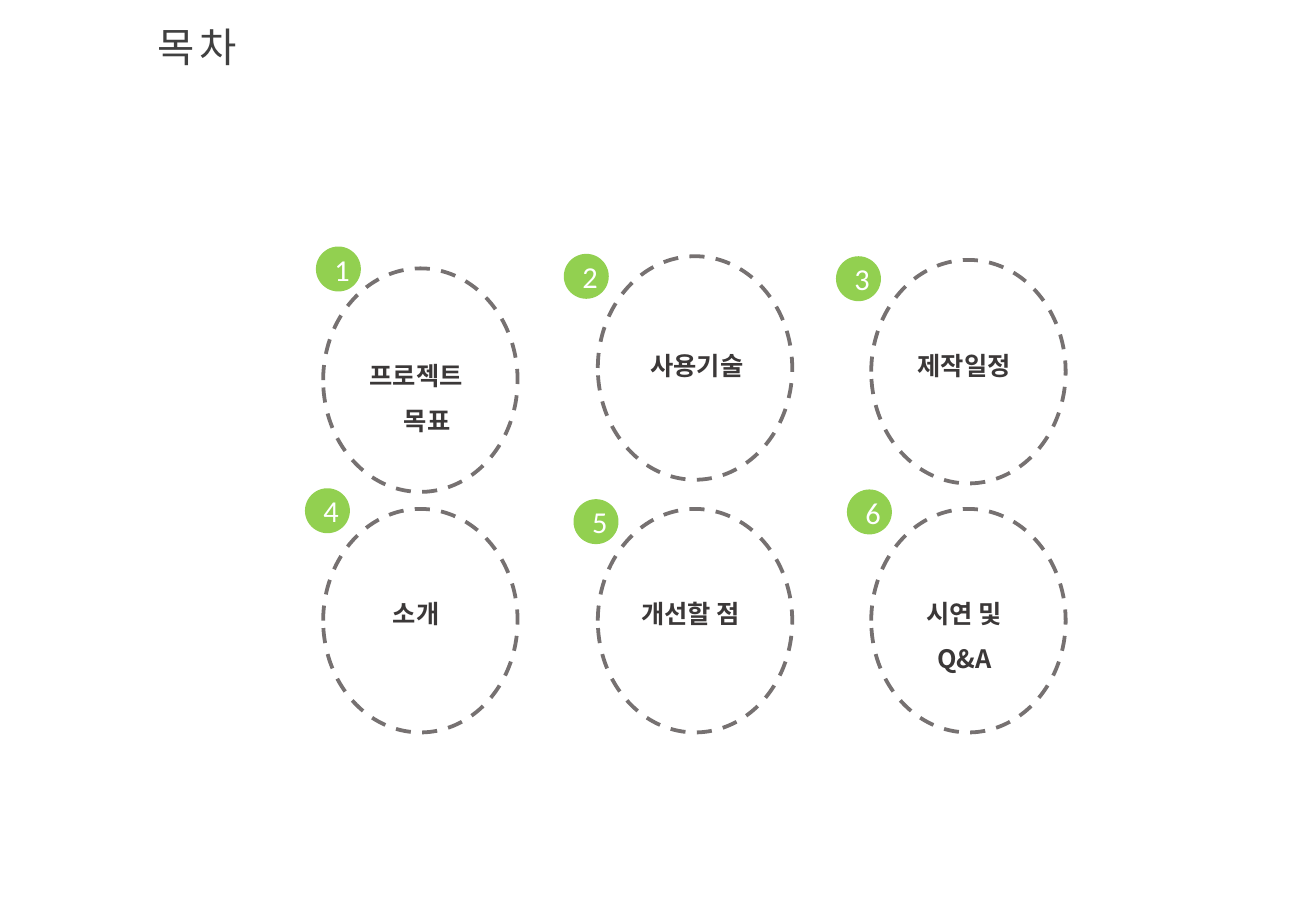
"""Build a contents slide with six numbered topics in dashed rings."""
from lxml import etree
from pptx import Presentation
from pptx.dml.color import RGBColor
from pptx.enum.dml import MSO_LINE
from pptx.enum.shapes import MSO_SHAPE
from pptx.enum.text import MSO_ANCHOR, MSO_AUTO_SIZE, PP_ALIGN
from pptx.oxml.ns import qn
from pptx.util import Pt

OVAL = MSO_SHAPE.OVAL
DASH = MSO_LINE.DASH
TOP, MIDDLE = MSO_ANCHOR.TOP, MSO_ANCHOR.MIDDLE
LEFT, CENTER = PP_ALIGN.LEFT, PP_ALIGN.CENTER
FIT = MSO_AUTO_SIZE.SHAPE_TO_FIT_TEXT
PX = 9144
KOREAN = "Noto Sans CJK KR"

TITLE = {"name": KOREAN, "size": Pt(24), "bold": False}
LABEL = {"name": KOREAN, "size": Pt(15), "bold": True}
DIGIT = {"name": "Calibri", "size": Pt(18), "bold": False}

RING_W, RING_H = 160, 184
LABEL_W, LABEL_H = 131, 48
BADGE = 37

TOPICS = [
    ("프로젝트\n목표", (266, 221), (277, 279), (260, 203)),
    ("사용기술", (492, 211), (508, 271), (464, 209)),
    ("제작일정", (717, 214), (728, 271), (688, 211)),
    ("소개", (266, 419), (277, 475), (251, 402)),
    ("개선할 점", (492, 419), (503, 475), (472, 411)),
    ("시연 및 Q&A", (717, 419), (728, 475), (697, 403)),
]


def box(spot, wide, high):
    """Turn a spot and a size in px into EMU."""
    return [n * PX for n in (*spot, wide, high)]


def write(frame, text, form, tint, align):
    """Fill a text frame with formatted paragraphs."""
    frame.text = text
    frame.word_wrap = True
    for para in frame.paragraphs:
        para.alignment = align
        for run in para.runs:
            for key, value in form.items():
                setattr(run.font, key, value)
            run.font.color.rgb = RGBColor.from_string(tint)
            east = etree.SubElement(run.font._element, qn("a:ea"))
            east.set("typeface", form["name"])


deck = Presentation()
deck.slide_width, deck.slide_height = 1083 * PX, 750 * PX
slide = deck.slides.add_slide(deck.slide_layouts[5])
shapes = slide.shapes

title = shapes.title
title.left, title.top, title.width, title.height = box((120, 13), 106, 50)
write(title.text_frame, "목 차", TITLE, "404040", LEFT)
title.text_frame.vertical_anchor = TOP
title.text_frame.auto_size = FIT
title.text_frame.paragraphs[0].runs[0].font._element.set("spc", "-150")

for number, (topic, ring_at, label_at, badge_at) in enumerate(TOPICS, 1):
    ring = shapes.add_shape(OVAL, *box(ring_at, RING_W, RING_H))
    ring.shadow.inherit = False
    ring.fill.background()
    ring.line.color.rgb = RGBColor.from_string("767171")
    ring.line.width = Pt(2.25)
    ring.line.dash_style = DASH

    label = shapes.add_textbox(*box(label_at, LABEL_W, LABEL_H))
    write(label.text_frame, topic, LABEL, "3B3838", CENTER)
    label.text_frame.auto_size = FIT
    for row, para in enumerate(label.text_frame.paragraphs):
        para.line_spacing = 1.5
        if row:
            para._p.get_or_add_pPr().set("marL", str(18 * PX))

    badge = shapes.add_shape(OVAL, *box(badge_at, BADGE, BADGE))
    badge.shadow.inherit = False
    badge.fill.solid()
    badge.fill.fore_color.rgb = RGBColor.from_string("92D050")
    badge.line.fill.background()
    write(badge.text_frame, str(number), DIGIT, "FFFFFF", CENTER)
    badge.text_frame.vertical_anchor = MIDDLE

deck.save("out.pptx")
